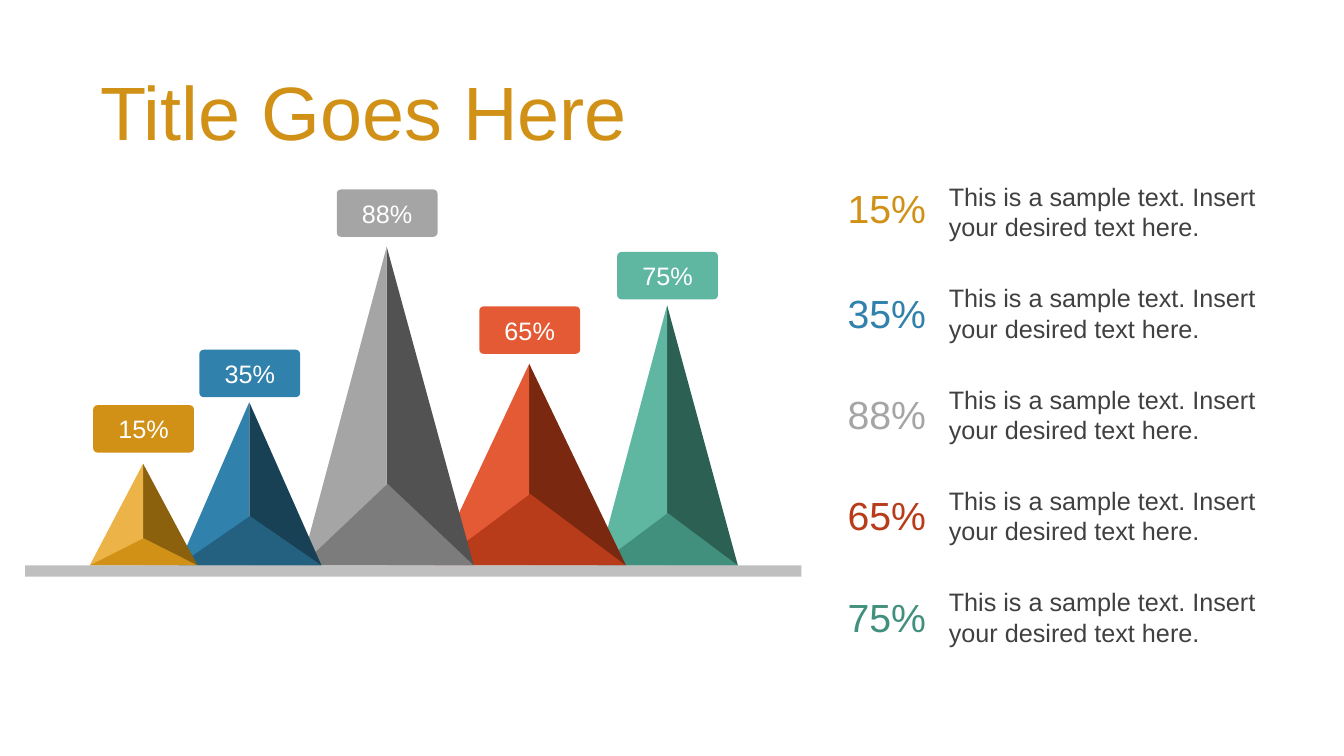
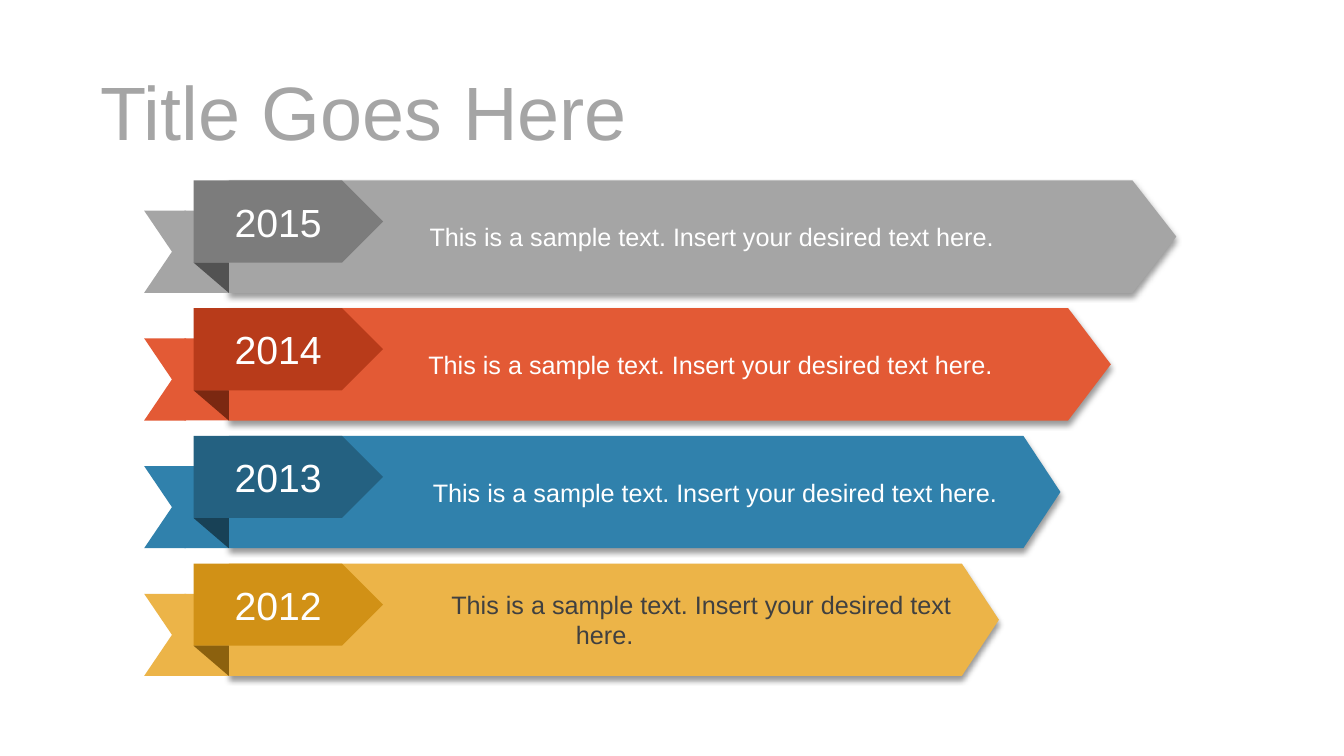
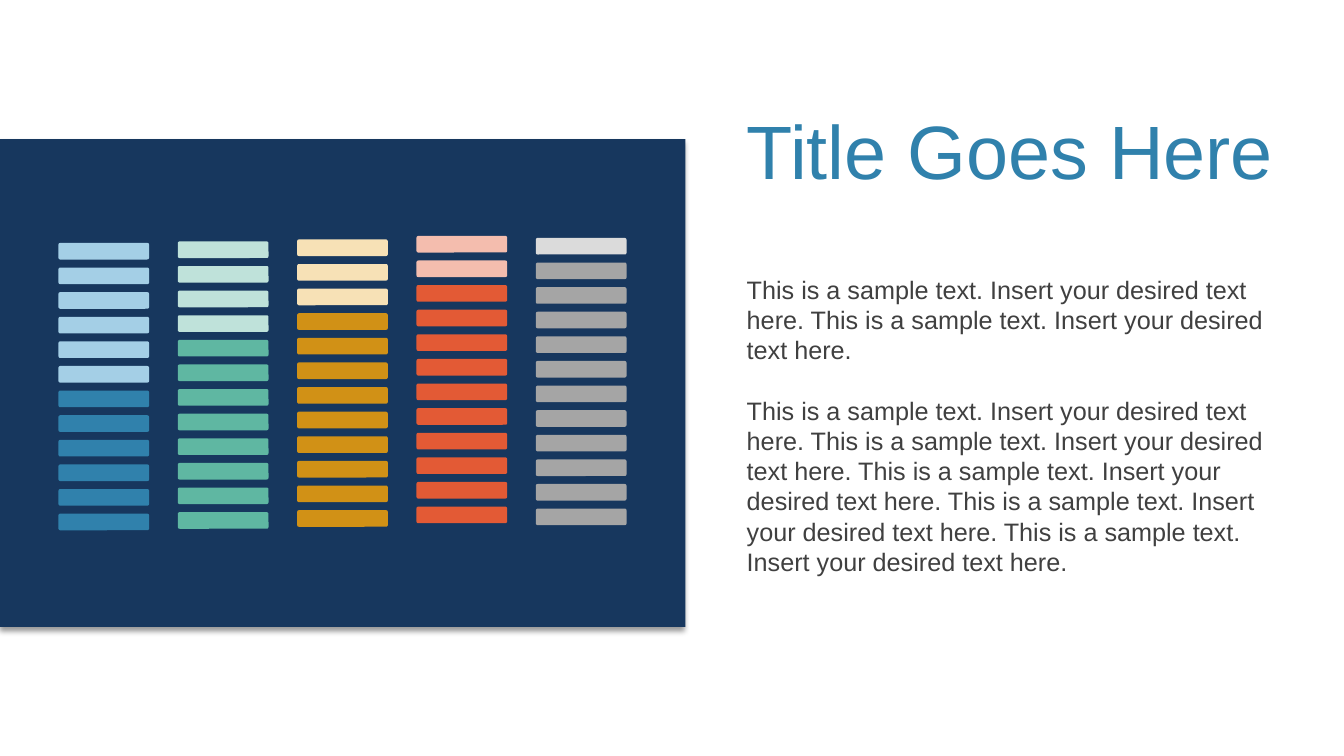
from dataclasses import dataclass

from pptx import Presentation
from pptx import util as u
from pptx.dml.color import RGBColor
from pptx.enum import shapes, text
from pptx.oxml import ns, parse_xml

PRESET = shapes.MSO_SHAPE
SAMPLE = "This is a sample text. Insert your desired text here."


@dataclass(frozen=True)
class Hue:
    """One colour family, from its light face to its pale tint."""
    light: str
    mid: str
    dark: str
    pale: str
    accent: str


@dataclass(frozen=True)
class Theme:
    """Grid, type sizes and colours shared by all slides."""
    cell: float = 0.1
    columns: float = 133.33
    rows: float = 75
    font: str = "Arial"
    title_size: int = 54
    figure_size: int = 28
    body_size: int = 18
    white: str = "FFFFFF"
    ink: str = "404040"
    ground: str = "BFBFBF"
    navy: str = "17375E"
    gold: Hue = Hue("ECB448", "D19116", "8C610E", "F7E1B6", "D19116")
    blue: Hue = Hue("3081AC", "246181", "184156", "A4CFE6", "3081AC")
    grey: Hue = Hue("A5A5A5", "7C7C7C", "525252", "DBDBDB", "A5A5A5")
    red: Hue = Hue("E35A35", "B83B1A", "7B2811", "F4BDAE", "E35A35")
    teal: Hue = Hue("5FB7A2", "41907D", "2B6053", "BFE2DA", "5FB7A2")


THEME = Theme()


@dataclass(frozen=True)
class Box:
    """A rectangle measured in grid columns and rows."""
    left: float
    top: float
    width: float
    height: float

    def inner(self, left, top, width, height):
        """Return a box placed from this box's top left corner."""
        return Box(self.left + left, self.top + top, width, height)

    def lengths(self):
        """Return left, top, width and height as slide lengths."""
        values = (self.left, self.top, self.width, self.height)
        return [u.Inches(value * THEME.cell) for value in values]


def assign(target, values):
    """Set each named attribute of the target."""
    for name, value in values.items():
        setattr(target, name, value)


def write(frame, lines, size, color, align=text.PP_ALIGN.LEFT,
          anchor=text.MSO_ANCHOR.TOP, gap=0, indent=0):
    """Fill a text frame with evenly styled paragraphs."""
    assign(frame, {"word_wrap": True, "vertical_anchor": anchor})
    for index, line in enumerate(lines):
        para = frame.add_paragraph() if index else frame.paragraphs[0]
        assign(para, {"alignment": align, "space_before": u.Pt(gap if index else 0)})
        if indent:
            margin = str(u.Inches(indent * THEME.cell))
            para._p.get_or_add_pPr().set("indent", margin)
        span = para.add_run()
        span.text = line
        assign(span.font, {"name": THEME.font, "size": u.Pt(size)})
        span.font.color.rgb = RGBColor.from_string(color)


def label(parts, box, lines, size, color, **layout):
    """Add a text box."""
    frame = parts.add_textbox(*box.lengths()).text_frame
    write(frame, lines, size, color, **layout)


def draw(parts, preset, box, color, adjust=None, flip=False, rotation=0, shadow=False):
    """Add a filled preset shape without an outline."""
    shape = parts.add_shape(preset, *box.lengths())
    shape.fill.solid()
    shape.fill.fore_color.rgb = RGBColor.from_string(color)
    shape.line.fill.background()
    shape.shadow.inherit = False
    shape.rotation = rotation
    if adjust is not None:
        shape.adjustments[0] = adjust
    properties = shape.element.spPr
    if flip:
        properties.get_or_add_xfrm().set("flipH", "1")
    if shadow:
        properties.find(ns.qn("a:effectLst")).append(parse_xml(
            f'<a:outerShdw {ns.nsdecls("a")} blurRad="{u.Pt(4)}" dist="{u.Pt(3)}" '
            'dir="5400000" algn="t" rotWithShape="0"><a:srgbClr val="000000">'
            '<a:alpha val="40000"/></a:srgbClr></a:outerShdw>'))
    return shape


def caption(shape, words, size, color, indent=0):
    """Write centred text inside a shape."""
    write(shape.text_frame, [words], size, color, text.PP_ALIGN.CENTER,
          text.MSO_ANCHOR.MIDDLE, indent=indent)


def add_page(deck, color, left=9, top=6.6):
    """Add a blank slide with its title."""
    page = deck.slides.add_slide(deck.slide_layouts[6])
    label(page.shapes, Box(left, top, 54.8, 8.7), ["Title Goes Here"],
          THEME.title_size, color, anchor=text.MSO_ANCHOR.MIDDLE)
    return page


def add_peak(parts, box, front, lift, hue, words):
    """Draw a three-faced pyramid in its box with a badge above."""
    half = box.width * 0.495
    draw(parts, PRESET.RIGHT_TRIANGLE,
         box.inner(half, 0, box.width - half, box.height), hue.dark)
    draw(parts, PRESET.RIGHT_TRIANGLE,
         box.inner(0, 0, half, box.height), hue.light, flip=True)
    draw(parts, PRESET.ISOSCELES_TRIANGLE,
         box.inner(0, box.height - front, box.width, front), hue.mid)
    badge = draw(parts, PRESET.ROUNDED_RECTANGLE,
                 box.inner(half - 4.95, -lift, 10, 4.7), hue.accent, 0.09)
    caption(badge, words, THEME.body_size, THEME.white)


def add_legend_row(parts, box, dip, words, color):
    """Place a large figure beside its explanation."""
    label(parts, box.inner(10.05, 0, 33.7, box.height), [SAMPLE],
          THEME.body_size, THEME.ink)
    label(parts, box.inner(0, dip, 10, 5.7), [words], THEME.figure_size, color)


def peaks_slide(deck):
    """Build the pyramid chart and its legend."""
    page = add_page(deck, THEME.gold.accent)
    base = 56.1
    peaks = [
        (59.3, 13.9, 25.8, 5.2, 5.3, THEME.teal, "75%"),
        (43.1, 19, 20, 7.1, 5.7, THEME.red, "65%"),
        (29.9, 17.1, 31.6, 8.1, 5.7, THEME.grey, "88%"),
        (17.7, 14.2, 16.2, 4.9, 5.2, THEME.blue, "35%"),
        (8.9, 10.7, 10.1, 2.7, 5.8, THEME.gold, "15%"),
    ]
    chart = page.shapes.add_group_shape().shapes
    for left, width, height, front, lift, hue, words in peaks:
        add_peak(chart, Box(left, base - height, width, height),
                 front, lift, hue, words)
    draw(chart, PRESET.RECTANGLE, Box(2.5, base, 77, 1.1), THEME.ground)

    legend = [
        ("15%", 0.3, THEME.gold.mid),
        ("35%", 0.65, THEME.blue.light),
        ("88%", 0.65, THEME.grey.light),
        ("65%", 0.65, THEME.red.mid),
        ("75%", 0.65, THEME.teal.mid),
    ]
    for index, (words, dip, color) in enumerate(legend):
        row = Box(83.1, 17.5 + index * 10.05, 43.7, 7.1)
        add_legend_row(page.shapes.add_group_shape().shapes, row, dip, words, color)


def add_ribbon(page, box, year, hue, point, indent, color):
    """Draw a folded ribbon with its year tab and arrow in its box."""
    fold = 8.4
    arrow = draw(page.shapes, PRESET.PENTAGON,
                 box.inner(fold, 0, box.width - fold, box.height),
                 hue.light, point, shadow=True)
    caption(arrow, SAMPLE, THEME.body_size, color, indent)
    parts = page.shapes.add_group_shape().shapes
    tab, drop = 8.15, 3
    draw(parts, PRESET.CHEVRON, box.inner(0, drop, 6.9, tab), hue.light, 0.4)
    draw(parts, PRESET.RECTANGLE, box.inner(4, drop, fold - 4, tab), hue.light)
    flag = draw(parts, PRESET.PENTAGON, box.inner(4.9, 0, 18.8, tab), hue.mid)
    caption(flag, year, THEME.figure_size, THEME.white)
    draw(parts, PRESET.RIGHT_TRIANGLE,
         box.inner(4.9, tab, fold - 4.9, drop), hue.dark, rotation=180)


def ribbons_slide(deck):
    """Build the stack of yearly ribbons."""
    page = add_page(deck, THEME.grey.accent)
    ribbons = [
        ("2015", THEME.grey, 102.4, 0.39, 4, THEME.white),
        ("2014", THEME.red, 95.9, 0.38, 10.2, THEME.white),
        ("2013", THEME.blue, 90.9, 0.33, 15.8, THEME.white),
        ("2012", THEME.gold, 84.8, 0.33, 19.2, THEME.ink),
    ]
    for index, (year, hue, width, point, indent, color) in enumerate(ribbons):
        box = Box(14.3, 17.9 + index * 12.67, width, 11.15)
        add_ribbon(page, box, year, hue, point, indent, color)


def add_meter(parts, box, hue, empty, count=12):
    """Stack bars in a box, the top ones pale."""
    pitch = box.height / count
    for index in range(count):
        color = hue.pale if index < empty else hue.accent
        draw(parts, PRESET.ROUNDED_RECTANGLE,
             box.inner(0, index * pitch, box.width, 1.65), color, 0.11)


def meters_slide(deck):
    """Build the panel of bar meters beside the body text."""
    page = add_page(deck, THEME.blue.accent, 73.1, 10.5)
    panel = Box(0, 13.8, 68, 48.4)
    draw(page.shapes, PRESET.RECTANGLE, panel, THEME.navy, shadow=True)
    meters = [
        (10.3, THEME.blue, 6),
        (10.15, THEME.teal, 4),
        (9.95, THEME.gold, 3),
        (9.6, THEME.red, 2),
        (9.8, THEME.grey, 1),
    ]
    for index, (top, hue, empty) in enumerate(meters):
        column = panel.inner(5.8 + index * 11.84, top, 9, 29.3)
        add_meter(page.shapes.add_group_shape().shapes, column, hue, empty)
    paragraphs = [" ".join([SAMPLE] * times) for times in (2, 5)]
    label(page.shapes, Box(73.1, 26.7, 54, 34.3), paragraphs,
          THEME.body_size, THEME.ink, gap=21.5)


def main():
    """Build and save the deck."""
    deck = Presentation()
    assign(deck, {"slide_width": u.Inches(THEME.columns * THEME.cell),
                  "slide_height": u.Inches(THEME.rows * THEME.cell)})
    for build in (peaks_slide, ribbons_slide, meters_slide):
        build(deck)
    deck.save("out.pptx")


if __name__ == "__main__":
    main()
